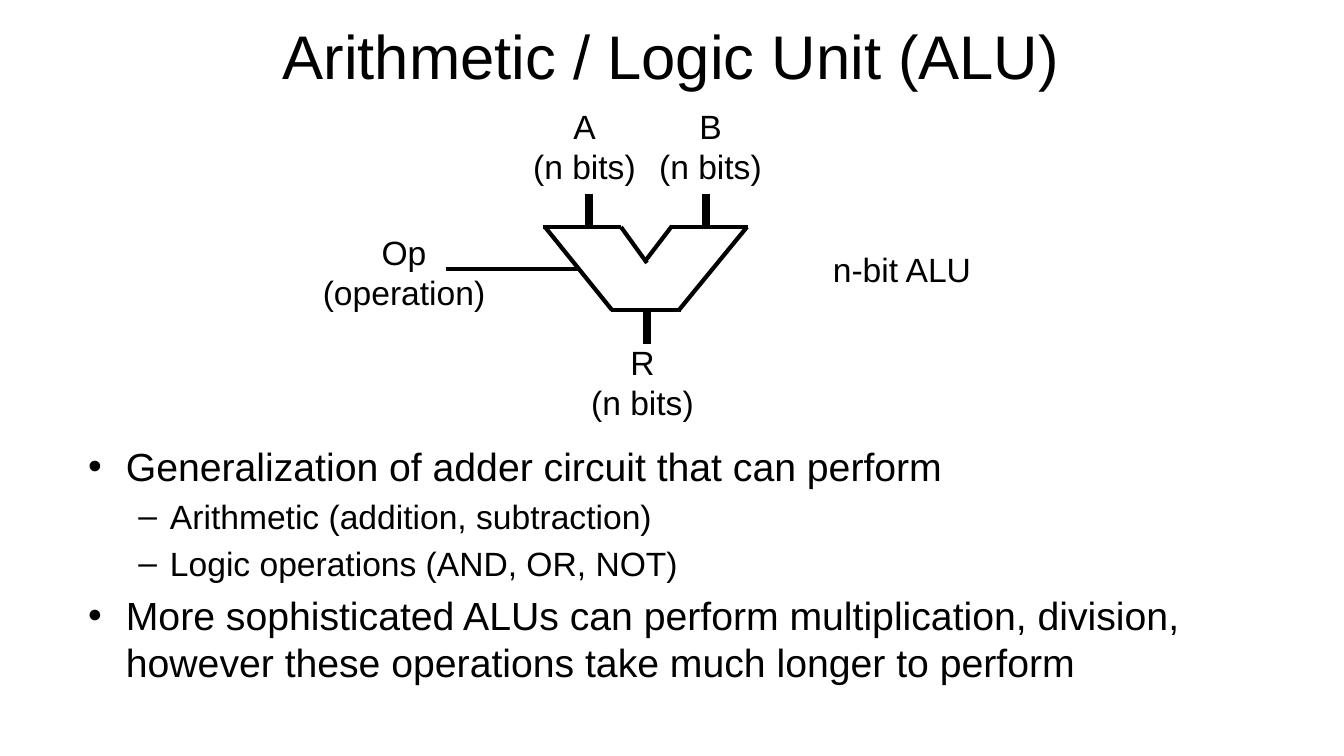
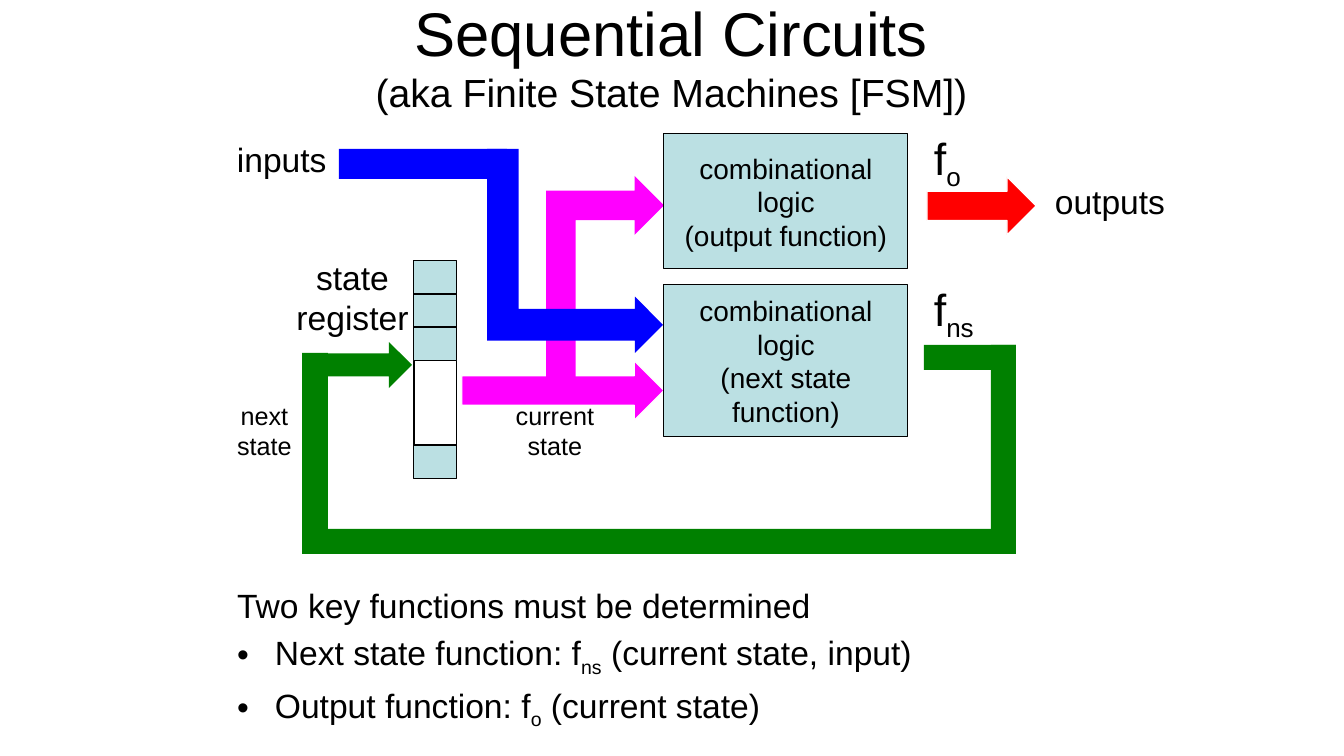
from lxml import etree
from pptx import Presentation
from pptx import util as u
from pptx.dml.color import RGBColor
from pptx.enum import shapes, text
from pptx.oxml import ns

PX = 914400 / 100.8
FONT = "Arial"
BLACK, WHITE = "000000", "FFFFFF"
PALE, MAGENTA, BLUE, RED, GREEN = "BBE0E3", "FF00FF", "0000FF", "FF0000", "008000"
SHAPE = shapes.MSO_SHAPE
CENTER, LEFT = text.PP_ALIGN.CENTER, text.PP_ALIGN.LEFT


def px(value):
    return u.Emu(round(value * PX))


def color(value):
    return RGBColor.from_string(value)


def style(span, size):
    span.font.name = FONT
    span.font.size = u.Pt(size)
    span.font.color.rgb = color(BLACK)


def write(para, content, size, align=None):
    if align is not None:
        para.alignment = align
    for index, part in enumerate(content.split("|")):
        if part:
            span = para.add_run()
            span.text = part
            style(span, size)
            if index % 2:
                span.font._element.set("baseline", "-25000")


def fill_lines(frame, lines, size, align):
    for index, line in enumerate(lines):
        para = frame.add_paragraph() if index else frame.paragraphs[0]
        write(para, line, size, align)


def place(box, left, top, width, height):
    box.left, box.top, box.width, box.height = map(px, (left, top, width, height))


class Region:
    def __init__(self, page, left, top):
        self.page, self.left, self.top = page, left, top

    def spot(self, x, y):
        return px(self.left + x), px(self.top + y)

    def label(self, x, y, width, height, lines, size=24, align=CENTER):
        box = self.page.shapes.add_textbox(*self.spot(x, y), px(width), px(height))
        box.text_frame.word_wrap = False
        fill_lines(box.text_frame, lines, size, align)

    def block(self, kind, x, y, width, height, fill, line=None, lines=()):
        box = self.page.shapes.add_shape(kind, *self.spot(x, y), px(width), px(height))
        box.shadow.inherit = False
        box.fill.solid()
        box.fill.fore_color.rgb = color(fill)
        if line:
            box.line.color.rgb = color(line)
            box.line.width = u.Pt(0.75)
        else:
            box.line.fill.background()
        if lines:
            box.text_frame.word_wrap = True
            fill_lines(box.text_frame, lines, 20, CENTER)
        return box

    def line(self, start, end, width):
        link = self.page.shapes.add_connector(
            shapes.MSO_CONNECTOR.STRAIGHT, *self.spot(*start), *self.spot(*end))
        link.line.color.rgb = color(BLACK)
        link.line.width = u.Pt(width)
        etree.SubElement(link._element.spPr, ns.qn("a:effectLst"))


def add_page(deck, title, subtitle=None):
    page = deck.slides.add_slide(deck.slide_layouts[1])
    box = page.shapes.title
    place(box, 243, -8, 857, 126)
    frame = box.text_frame
    frame.auto_size = text.MSO_AUTO_SIZE.NONE
    frame.vertical_anchor = text.MSO_ANCHOR.MIDDLE
    frame.text = f"{title}\v{subtitle}" if subtitle else title
    para = frame.paragraphs[0]
    para.alignment = CENTER
    for span, size in zip(para.runs, (44, 28)):
        style(span, size)
    return page


def add_body(page, area, items):
    box = page.placeholders[1]
    place(box, *area)
    frame = box.text_frame
    frame.auto_size = text.MSO_AUTO_SIZE.NONE
    for index, (content, level, size) in enumerate(items):
        para = frame.add_paragraph() if index else frame.paragraphs[0]
        para.level = level
        write(para, content, size)
    return frame


def remove_bullet(para):
    properties = para._p.get_or_add_pPr()
    properties.set("marL", "0")
    properties.set("indent", "0")
    etree.SubElement(properties, ns.qn("a:buNone"))


def draw_alu(page, left, top):
    region = Region(page, left, top)
    outline = (((232, 126), (310, 126)), ((359, 126), (437, 126)),
               ((300, 209), (370, 209)), ((310, 126), (336, 162)),
               ((361, 125), (335, 159)), ((234, 126), (301, 209)),
               ((436, 126), (368, 209)))
    for start, end in outline:
        region.line(start, end, 3)
    for name, x, y in (("A", 211, 0), ("B", 337, 0), ("R", 269, 236)):
        region.label(x, y, 125, 92, [name, "(n bits)"])
    region.label(1, 126, 184, 92, ["Op", "(operation)"])
    region.label(512, 143, 160, 50, ["n-bit ALU"], align=LEFT)
    region.line((269, 168), (135, 168), 3)
    for x, y in ((278, 93), (395, 93), (336, 209)):
        region.line((x, y), (x, y + 34), 6)


def draw_register(region, x, y):
    width, cell, gap_start, gap_end = 43, 34, 101, 185
    for offset in (0, cell, gap_start - cell, gap_end):
        region.block(SHAPE.RECTANGLE, x, y + offset, width, cell, PALE, BLACK)
    for side in (x, x + width):
        region.line((side, y + gap_start), (side, y + gap_end), 0.75)


def draw_feedback(region):
    region.block(SHAPE.RIGHT_ARROW, 101, 216, 84, 46, GREEN)
    for bar in ((697, 219, 92, 25), (764, 219, 25, 193),
                (101, 403, 688, 25), (75, 227, 26, 201)):
        region.block(SHAPE.RECTANGLE, *bar, GREEN)


def draw_state_machine(page, left, top):
    region = Region(page, left, top)
    draw_register(region, 187, 134)
    region.label(59, 126, 133, 92, ["state", "register"])

    region.block(SHAPE.RIGHT_ARROW, 235, 235, 202, 59, MAGENTA, WHITE)
    branch = region.block(SHAPE.BENT_UP_ARROW, 277, 92, 202, 118, MAGENTA)
    branch.rotation = 270
    branch._element.spPr.xfrm.set("flipV", "1")
    region.block(SHAPE.RIGHT_ARROW, 700, 51, 109, 58, RED, WHITE)

    for y, height, role in ((8, 135, "(output function)"),
                            (159, 152, "(next state function)")):
        region.block(SHAPE.RECTANGLE, 437, y, 244, height, PALE, BLACK,
                     ["combinational logic", role])

    input_path = region.block(SHAPE.BENT_UP_ARROW, 246, 37, 204, 176, BLUE)
    input_path.rotation = 90
    for index, ratio in enumerate((0.18, 0.16, 0.16)):
        input_path.adjustments[index] = ratio
    region.block(SHAPE.RECTANGLE, 112, 23, 168, 30, BLUE)
    draw_feedback(region)

    region.label(0, 8, 111, 50, ["inputs"], align=LEFT)
    region.label(818, 50, 132, 50, ["outputs"], align=LEFT)
    region.label(697, 0, 49, 65, ["f|o|"], 32, LEFT)
    region.label(697, 151, 65, 65, ["f|ns|"], 32, LEFT)
    region.label(278, 269, 100, 72, ["current", "state"], 18)
    region.label(0, 269, 75, 72, ["next", "state"], 18)


def build_alu_page(deck):
    page = add_page(deck, "Arithmetic / Logic Unit (ALU)")
    draw_alu(page, 311, 101)
    add_body(page, (78, 437, 1210, 319), [
        ("Generalization of adder circuit that can perform", 0, 28),
        ("Arithmetic (addition, subtraction)", 1, 24),
        ("Logic operations (AND, OR, NOT)", 1, 24),
        ("More sophisticated ALUs can perform multiplication, division, "
         "however these operations take much longer to perform", 0, 28),
    ])


def build_sequential_page(deck):
    page = add_page(deck, "Sequential Circuits", "(aka Finite State Machines [FSM])")
    draw_state_machine(page, 227, 126)
    frame = add_body(page, (227, 580, 857, 151), [
        ("Two key functions must be determined", 0, 24),
        ("Next state function: f|ns| (current state, input)", 0, 24),
        ("Output function: f|o| (current state)", 0, 24),
    ])
    remove_bullet(frame.paragraphs[0])


def main():
    deck = Presentation()
    deck.slide_width, deck.slide_height = px(1344), px(756)
    build_alu_page(deck)
    build_sequential_page(deck)
    deck.save("out.pptx")


if __name__ == "__main__":
    main()
